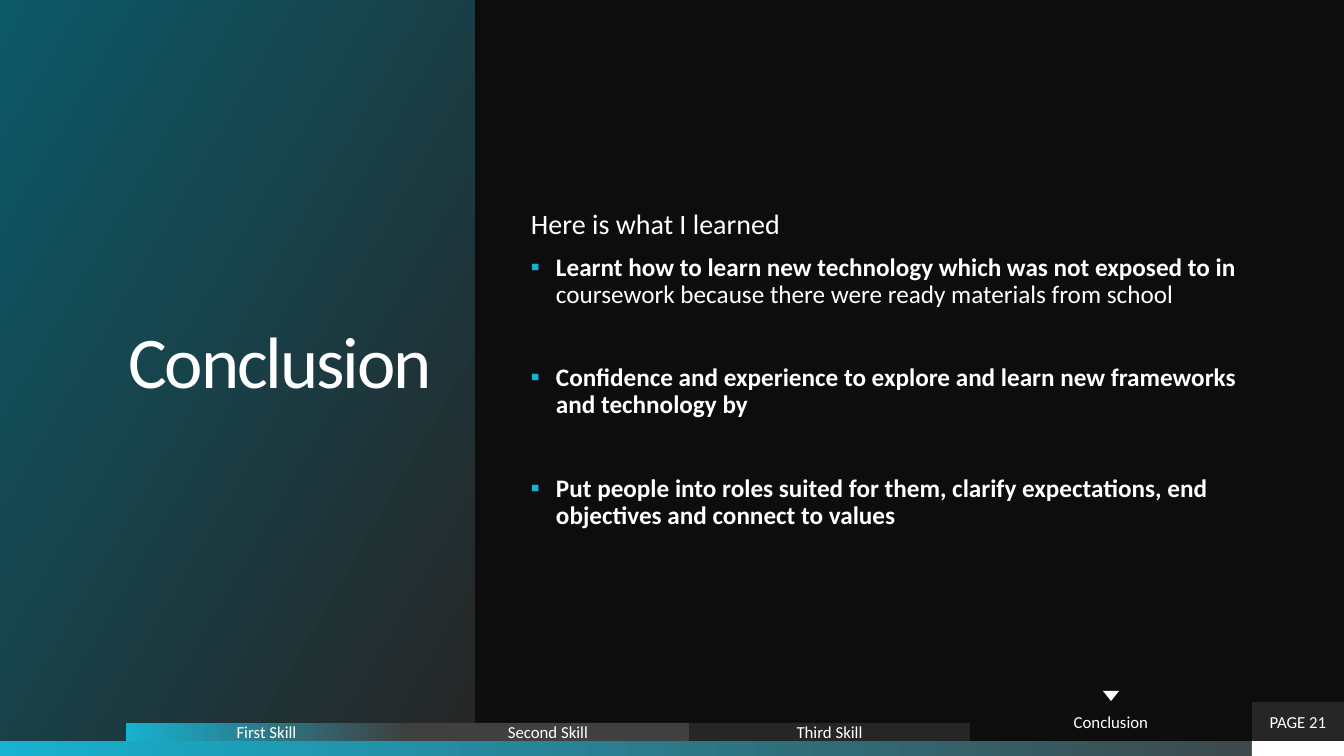
from dataclasses import dataclass

from lxml.etree import SubElement
from pptx import Presentation
from pptx.dml.color import RGBColor
from pptx.dml.fill import FillFormat
from pptx.enum.shapes import MSO_SHAPE as Preset
from pptx.enum.text import MSO_ANCHOR as Anchor, MSO_AUTO_SIZE as AutoSize, PP_ALIGN as Align
from pptx.oxml.ns import qn
from pptx.shapes.base import BaseShape
from pptx.slide import Slide
from pptx.text.text import TextFrame, _Paragraph as Paragraph, _Run as Run
from pptx.util import Emu, Pt

EMU_PER_PX = 914400 / 100.8
SLIDE_WIDTH, SLIDE_HEIGHT = 1344, 756
STRIP_TOP, TABS_LEFT, PAGE_LEFT = 741, 126, 1252
FONT = "Calibri"
COLORS = {
    "background": "0D0D0D",
    "white": "FFFFFF",
    "accent": "17B2D1",
    "teal": "0C5968",
    "gray": "404040",
    "dark": "262626",
}


@dataclass(frozen=True)
class Gradient:
    start: str
    end: str
    angle: int = 0  # counter-clockwise degrees
    first_stop: float = 0.0


@dataclass(frozen=True)
class Block:
    left: int
    top: int
    width: int
    height: int
    fill: str | Gradient
    text: str = ""
    preset: Preset = Preset.RECTANGLE
    rotation: int = 0


@dataclass(frozen=True)
class Lesson:
    bold: str
    regular: str = ""
    space_before: int = 40


ACCENT_FADE = Gradient("accent", "gray")
TITLE_FADE = Gradient("dark", "teal", angle=150, first_stop=0.01)
TABS = [
    ("First Skill", ACCENT_FADE, 723),
    ("Second Skill", "gray", 723),
    ("Third Skill", "dark", 723),
    ("Conclusion", "background", 702),
]
LESSONS = [
    Lesson("Learnt how to learn new technology which was not exposed to in ",
           "coursework because there were ready materials from school", space_before=10),
    Lesson("Confidence and experience to explore and learn new frameworks and technology by"),
    Lesson("Put people into roles suited for them, clarify expectations, "
           "end objectives and connect to values"),
]


def px(length: int) -> Emu:
    return Emu(round(length * EMU_PER_PX))


def color(name: str) -> RGBColor:
    return RGBColor.from_string(COLORS[name])


def paint(fill: FillFormat, paint_with: str | Gradient) -> None:
    if isinstance(paint_with, str):
        fill.solid()
        fill.fore_color.rgb = color(paint_with)
        return
    fill.gradient()
    fill.gradient_angle = paint_with.angle
    first, last = fill.gradient_stops
    first.color.rgb, first.position = color(paint_with.start), paint_with.first_stop
    last.color.rgb, last.position = color(paint_with.end), 1.0


def place(shape: BaseShape, left: int, top: int, width: int, height: int) -> None:
    shape.left, shape.top = px(left), px(top)
    shape.width, shape.height = px(width), px(height)


def style_run(run: Run, size: int, bold: bool = False) -> None:
    run.font.name = FONT
    run.font.size = Pt(size)
    run.font.bold = bold
    run.font.color.rgb = color("white")


def set_frame(frame: TextFrame, side: int, end: int) -> None:
    """Fix the size of a placeholder's frame, with its insets and middle anchor."""
    frame.word_wrap = True
    frame.auto_size = AutoSize.NONE
    frame.vertical_anchor = Anchor.MIDDLE
    frame.margin_left = frame.margin_right = px(side)
    frame.margin_top = frame.margin_bottom = px(end)


def set_bullet(paragraph: Paragraph, bulleted: bool) -> None:
    properties = paragraph._p.get_or_add_pPr()
    indent = px(25) if bulleted else 0
    properties.set("marL", str(indent))
    properties.set("indent", str(-indent))
    if not bulleted:
        SubElement(properties, qn("a:buNone"))
        return
    bullet_color = SubElement(properties, qn("a:buClr"))
    SubElement(bullet_color, qn("a:srgbClr"), val=COLORS["accent"])
    SubElement(properties, qn("a:buFont"), typeface=FONT)
    SubElement(properties, qn("a:buChar"), char="▪")


def space(paragraph: Paragraph, before: int) -> None:
    paragraph.line_spacing = 0.9
    paragraph.space_before = Pt(before)


def draw_block(slide: Slide, block: Block) -> None:
    shape = slide.shapes.add_shape(block.preset, px(block.left), px(block.top),
                                   px(block.width), px(block.height))
    shape.shadow.inherit = False
    shape.rotation = block.rotation
    paint(shape.fill, block.fill)
    shape.line.fill.background()
    if block.text:
        frame = shape.text_frame
        frame.text = block.text
        frame.vertical_anchor = Anchor.MIDDLE
        paragraph = frame.paragraphs[0]
        paragraph.alignment = Align.CENTER
        style_run(paragraph.runs[0], 12)


def fill_title(slide: Slide) -> None:
    title = slide.shapes.title
    place(title, 0, 0, 475, STRIP_TOP)
    paint(title.fill, TITLE_FADE)
    frame = title.text_frame
    frame.text = "Conclusion"
    set_frame(frame, side=43, end=0)
    paragraph = frame.paragraphs[0]
    paragraph.alignment = Align.RIGHT
    paragraph.line_spacing = 0.7
    run = paragraph.runs[0]
    style_run(run, 52)
    run.font._element.set("spc", "-150")


def fill_body(slide: Slide) -> None:
    body = slide.placeholders[1]
    place(body, 519, 40, 733, 660)
    frame = body.text_frame
    frame.text = "Here is what I learned"
    set_frame(frame, side=12, end=12)
    heading = frame.paragraphs[0]
    set_bullet(heading, False)
    space(heading, 10)
    style_run(heading.runs[0], 20)
    for lesson in LESSONS:
        paragraph = frame.add_paragraph()
        paragraph.text = lesson.bold
        set_bullet(paragraph, True)
        space(paragraph, lesson.space_before)
        style_run(paragraph.runs[0], 18, bold=True)
        if lesson.regular:
            run = paragraph.add_run()
            run.text = lesson.regular
            style_run(run, 18)


def footer_blocks() -> list[Block]:
    strip_height = SLIDE_HEIGHT - STRIP_TOP
    page_width = SLIDE_WIDTH - PAGE_LEFT
    edges = [TABS_LEFT + (PAGE_LEFT - TABS_LEFT) * i // len(TABS)
             for i in range(len(TABS) + 1)]
    tabs = [Block(left, top, right - left, STRIP_TOP - top, fill, text)
            for (text, fill, top), left, right in zip(TABS, edges, edges[1:])]
    return [
        Block(0, STRIP_TOP, SLIDE_WIDTH, strip_height, ACCENT_FADE),
        Block(PAGE_LEFT, STRIP_TOP, page_width, strip_height, "white"),
        Block(PAGE_LEFT, 702, page_width, STRIP_TOP - 702, "dark", "PAGE 21"),
        *tabs,
        Block(1103, 691, 16, 10, "white", preset=Preset.ISOSCELES_TRIANGLE, rotation=180),
    ]


def main() -> None:
    presentation = Presentation()
    presentation.slide_width, presentation.slide_height = px(SLIDE_WIDTH), px(SLIDE_HEIGHT)
    slide = presentation.slides.add_slide(presentation.slide_layouts[1])
    paint(slide.background.fill, "background")
    fill_title(slide)
    fill_body(slide)
    for block in footer_blocks():
        draw_block(slide, block)
    presentation.save("out.pptx")


if __name__ == "__main__":
    main()
